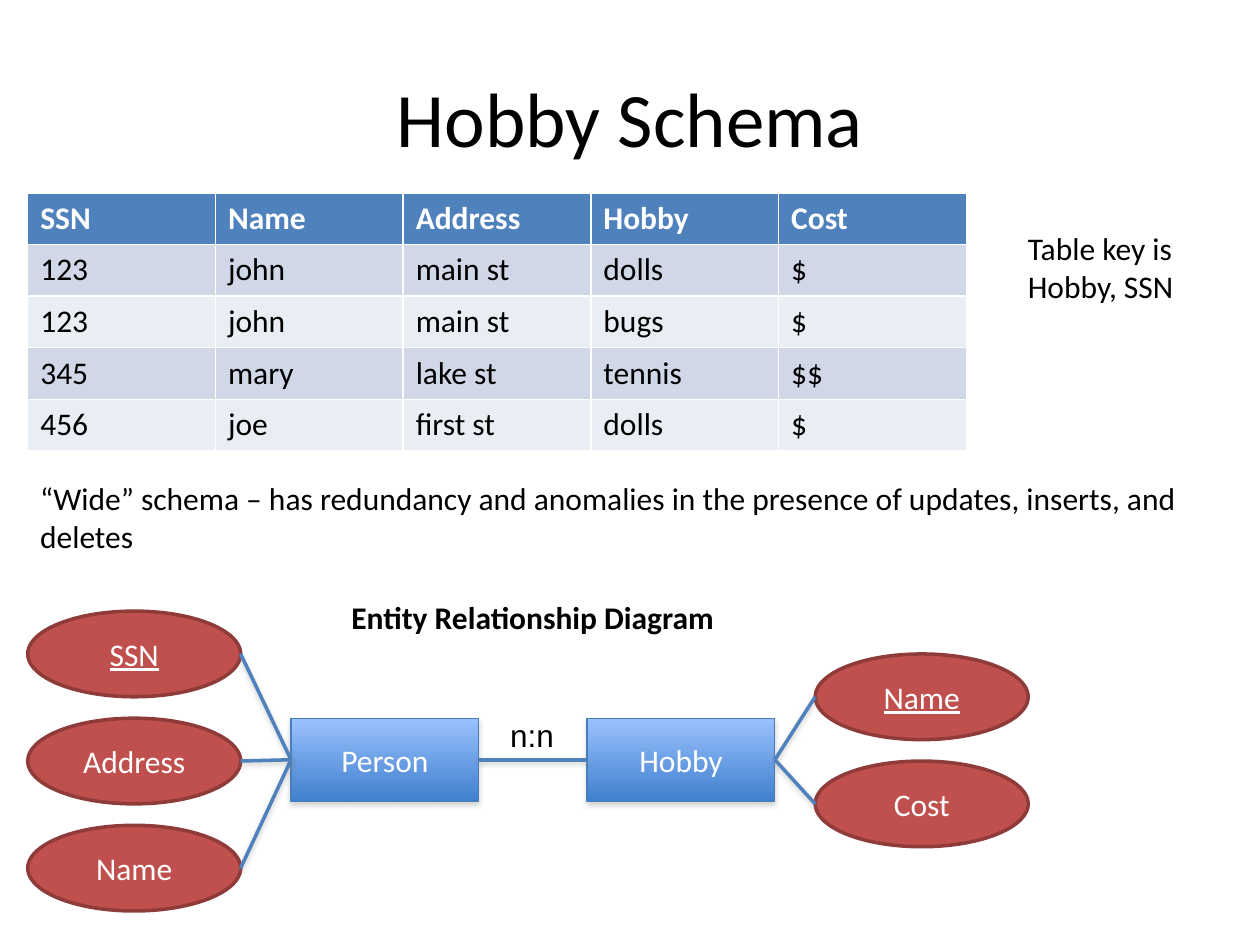
from lxml import etree
from pptx import Presentation, util as u
from pptx.dml.color import RGBColor
from pptx.enum import shapes, text
from pptx.oxml.ns import qn

# Content
TITLE = "Hobby Schema"
ROWS = [
    ("SSN", "Name", "Address", "Hobby", "Cost"),
    ("123", "john", "main st", "dolls", "$"),
    ("123", "john", "main st", "bugs", "$"),
    ("345", "mary", "lake st", "tennis", "$$"),
    ("456", "joe", "first st", "dolls", "$"),
]
KEY_NOTE = "Table key is Hobby, SSN"
SCHEMA_NOTE = ("“Wide” schema – has redundancy and anomalies in the presence "
               "of updates, inserts, and deletes")
DIAGRAM_TITLE = "Entity Relationship Diagram"
RELATION = "n:n"
# The first attribute of each entity is its underlined key
ENTITIES = [
    dict(name="Person", left=2.31, attrs=["SSN", "Address", "Name"],
         attr_left=0.22, attr_top=4.85, side=1),
    dict(name="Hobby", left=4.66, attrs=["Name", "Cost"],
         attr_left=6.47, attr_top=5.19, side=3),
]

THEME = dict(
    font="Calibri", label_font="Arial", title=44, body=18,
    ink="000000", paper="FFFFFF", head="4F81BD", bands=("D0D8E8", "E9EDF4"),
    box=("9BC1FF", "3F80CD"), box_line="4A7EBB",
    oval="C0504D", oval_line="8E3B39", link="4F81BD", shadow="808080",
)

# Grid, in inches
W, H = 10, 7.5
MARGIN, RIGHT = 0.22, 9.5
COL, ROW = 1.49, 0.41          # table cell; entity boxes are one column wide
TABLE_W, TABLE_H = 7.46, 2.03
BOX_TOP, BOX_H = 5.7, 0.66
OVAL_W, OVAL_H, OVAL_STEP = 1.69, 0.68, 0.85


def rgb(name):
    return RGBColor.from_string(name)


def write(tf, words, size=THEME["body"], color=THEME["ink"], font=THEME["font"],
          bold=False, underline=None, align=text.PP_ALIGN.LEFT,
          anchor=text.MSO_ANCHOR.TOP):
    tf.word_wrap = True
    tf.vertical_anchor = anchor
    p = tf.paragraphs[0]
    p.alignment = align
    r = p.add_run()
    r.text = words
    f = r.font
    f.name, f.size, f.bold, f.underline = font, u.Pt(size), bold, underline
    f.color.rgb = rgb(color)


def add_text(s, words, left, top, width, height, **fmt):
    sp = s.shapes.add_textbox(*map(u.Inches, (left, top, width, height)))
    write(sp.text_frame, words, **fmt)


def add_node(s, kind, words, left, top, width, height, line, weight, **fmt):
    sp = s.shapes.add_shape(kind, *map(u.Inches, (left, top, width, height)))
    sp.shadow.inherit = False
    sp.line.color.rgb = rgb(line)
    sp.line.width = u.Pt(weight)
    write(sp.text_frame, words, color=THEME["paper"], align=text.PP_ALIGN.CENTER,
          anchor=text.MSO_ANCHOR.MIDDLE, **fmt)
    return sp


def cast_shadow(sp, distance, opacity):
    pr = sp._element.spPr
    effects = pr.find(qn("a:effectLst"))
    if effects is None:
        effects = etree.SubElement(pr, qn("a:effectLst"))
    shade = etree.SubElement(
        effects, qn("a:outerShdw"), blurRad=str(u.Pt(3.1)),
        dist=str(u.Pt(distance)), dir="5400000", rotWithShape="0")
    color = etree.SubElement(shade, qn("a:srgbClr"), val=THEME["shadow"])
    etree.SubElement(color, qn("a:alpha"), val=str(opacity * 1000))


def add_link(s, box, side, x=0, y=0, other=None):
    """Join a side of a box to a point, or to the left side of another box."""
    c = s.shapes.add_connector(shapes.MSO_CONNECTOR.STRAIGHT, 0, 0,
                               u.Inches(x), u.Inches(y))
    c.begin_connect(box, side)
    if other is not None:
        c.end_connect(other, 1)
    c.line.color.rgb = rgb(THEME["link"])
    c.line.width = u.Pt(2)
    cast_shadow(c, 1.6, 38)


def add_schema_table(s):
    frame = s.shapes.add_table(len(ROWS), len(ROWS[0]), *map(
        u.Inches, (MARGIN, 1.53, TABLE_W, TABLE_H)))
    for col in frame.table.columns:
        col.width = u.Inches(COL)
    for i, values in enumerate(ROWS):
        frame.table.rows[i].height = u.Inches(ROW)
        head = i == 0
        for j, value in enumerate(values):
            cell = frame.table.cell(i, j)
            cell.fill.solid()
            cell.fill.fore_color.rgb = rgb(
                THEME["head"] if head else THEME["bands"][(i - 1) % 2])
            write(cell.text_frame, value, bold=head,
                  color=THEME["paper"] if head else THEME["ink"])


def add_entity(s, name, left, attrs, attr_left, attr_top, side):
    box = add_node(s, shapes.MSO_SHAPE.RECTANGLE, name, left, BOX_TOP, COL, BOX_H,
                   THEME["box_line"], 0.75)
    box.fill.gradient()
    box.fill.gradient_angle = 270
    for stop, color in zip(box.fill.gradient_stops, THEME["box"]):
        stop.color.rgb = rgb(color)
    cast_shadow(box, 1.8, 35)

    near_edge = attr_left + (OVAL_W if side == 1 else 0)
    tops = [attr_top + i * OVAL_STEP for i in range(len(attrs))]
    for i, (attr, top) in enumerate(zip(attrs, tops)):
        oval = add_node(s, shapes.MSO_SHAPE.OVAL, attr, attr_left, top, OVAL_W,
                        OVAL_H, THEME["oval_line"], 2, underline=i == 0)
        oval.fill.solid()
        oval.fill.fore_color.rgb = rgb(THEME["oval"])
    for top in tops:
        add_link(s, box, side, near_edge, top + OVAL_H / 2)
    return box


def main():
    prs = Presentation()
    prs.slide_width, prs.slide_height = u.Inches(W), u.Inches(H)
    s = prs.slides.add_slide(prs.slide_layouts[6])

    # Title, table and notes
    add_text(s, TITLE, W * 0.05, H * 0.04, W * 0.9, 1.25, size=THEME["title"],
             align=text.PP_ALIGN.CENTER, anchor=text.MSO_ANCHOR.MIDDLE)
    add_schema_table(s)
    add_text(s, SCHEMA_NOTE, MARGIN, H / 2, RIGHT - MARGIN, 0.71)
    add_text(s, KEY_NOTE, 8.06, 1.77, RIGHT - 8.06, 0.71)

    # Entity relationship diagram
    person, hobby = [add_entity(s, **entity) for entity in ENTITIES]
    add_link(s, person, 3, other=hobby)
    add_text(s, RELATION, 3.95, 5.63, 0.72, 0.4, font=THEME["label_font"])
    add_text(s, DIAGRAM_TITLE, 2.69, 4.7, 3.09, 0.4, bold=True)

    prs.save("out.pptx")


if __name__ == "__main__":
    main()
